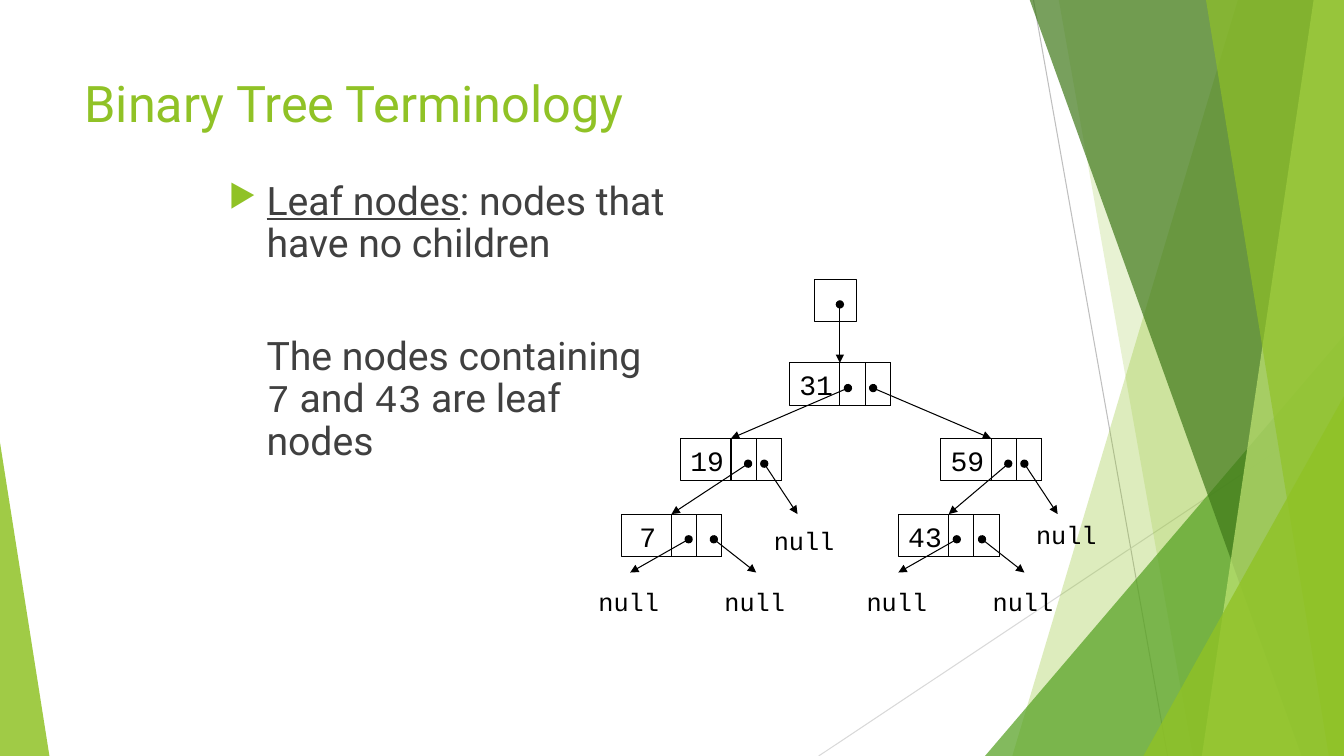
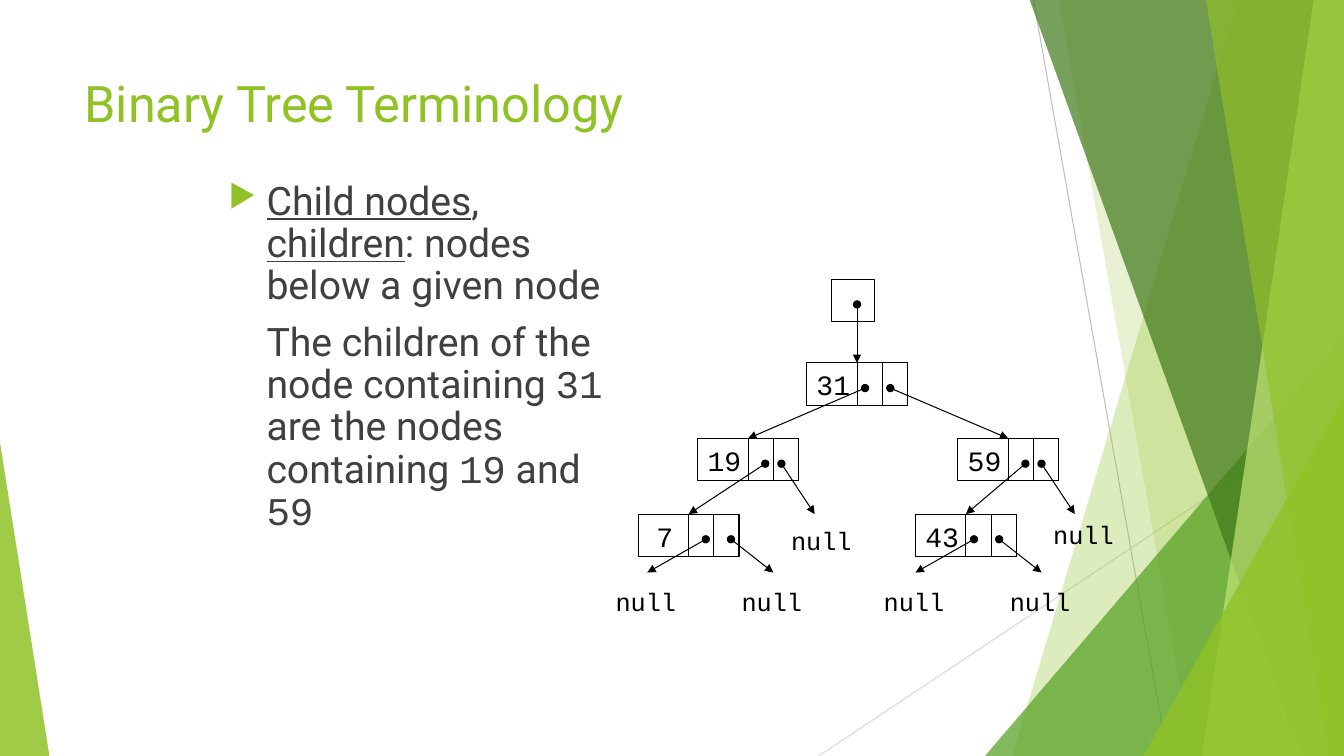
from lxml import etree
from pptx import Presentation
from pptx.dml.color import RGBColor
from pptx.enum import shapes, text
from pptx.oxml import ns
from pptx.util import Inches, Pt

WIDTH, HEIGHT = 13.33, 7.5
COLORS = {
    "lime": "90C226", "green": "54A021", "forest": "3F7819", "pale": "C0E474",
    "ink": "404040", "black": "000000", "gray": "BFBFBF", "mist": "D9D9D9",
}
SANS, MONO = "Roboto", "Courier New"
FORMATS = {
    "title": {"size": Pt(36), "name": SANS, "color": "lime"},
    "body": {"size": Pt(28), "name": SANS, "color": "ink"},
    "number": {"size": Pt(20), "name": MONO, "color": "black"},
    "null": {"size": Pt(18), "name": MONO, "color": "black"},
}
CODE, TERM = {"name": MONO}, {"underline": True}
HANGING = Pt(27)

# Tree nodes: left and top in the tree, then both pointers.
# A pointer is: dot x, then a child value or the (x, y) of its null label;
# a null pointer also has the (dx, dy) of its arrow.
CELL, FIELD, DOT = 0.42, 0.25, 0.25
LEFT_DROP, RIGHT_DROP, SHORT_DROP = (-0.58, 0.33), (0.42, 0.33), (0.33, 0.5)
NODES = {
    "31": (2, 0.83, (0.58, "19"), (0.83, "59")),
    "19": (0.92, 1.58, (0.67, "7"), (0.83, (0.82, 0.81), SHORT_DROP)),
    "59": (3.5, 1.58, (0.67, "43"), (0.83, (0.84, 0.75), SHORT_DROP)),
    "7": (0.33, 2.33, (0.67, (-0.33, 0.67), LEFT_DROP),
          (0.92, (0.92, 0.67), RIGHT_DROP)),
    "43": (3.08, 2.33, (0.58, (-0.42, 0.67), LEFT_DROP),
           (0.83, (0.83, 0.67), RIGHT_DROP)),
}


def rgb(color):
    return RGBColor.from_string(COLORS[color])


def add_xml(parent, tag, **attributes):
    return etree.SubElement(parent, ns.qn(tag), attributes)


def write(paragraph, words, style):
    run = paragraph.add_run()
    run.text = words
    values = dict(style)
    run.font.color.rgb = rgb(values.pop("color"))
    for key, value in values.items():
        setattr(run.font, key, value)


def text_frame(slide, left, top, width, height, wrap=True):
    frame = slide.shapes.add_textbox(*map(Inches, (left, top, width, height))).text_frame
    frame.word_wrap = wrap
    frame.vertical_anchor = text.MSO_ANCHOR.TOP
    return frame


def label(slide, left, top, width, height, words, style):
    frame = text_frame(slide, left, top, width, height, wrap=False)
    frame.margin_left = frame.margin_right = 0
    paragraph = frame.paragraphs[0]
    paragraph.alignment = text.PP_ALIGN.CENTER
    write(paragraph, words, FORMATS[style])


def line(slide, start, end, color, arrow=False):
    connector = slide.shapes.add_connector(
        shapes.MSO_CONNECTOR.STRAIGHT, *map(Inches, (*start, *end)))
    connector.line.color.rgb = rgb(color)
    connector.line.width = Pt(0.75)
    properties = connector._element.spPr
    add_xml(properties, "a:effectLst")
    if arrow:
        stroke = properties.find(ns.qn("a:ln"))
        add_xml(stroke, "a:headEnd", type="oval")
        add_xml(stroke, "a:tailEnd", type="triangle")


def tint(shape, color, opacity):
    shape.shadow.inherit = False
    shape.fill.solid()
    shape.fill.fore_color.rgb = rgb(color)
    shape.line.fill.background()
    tone = shape._element.spPr.find(ns.qn("a:solidFill"))[0]
    add_xml(tone, "a:alpha", val=str(opacity * 1000))


def band(slide, top_x, bottom_x, color, opacity):
    """Full-height band from a slanted edge to the right side."""
    outline = slide.shapes.build_freeform(Inches(top_x), Inches(-0.01))
    corners = [(WIDTH, -0.01), (WIDTH, HEIGHT), (bottom_x, HEIGHT)]
    outline.add_line_segments([(Inches(x), Inches(y)) for x, y in corners])
    tint(outline.convert_to_shape(), color, opacity)


def corner(slide, left, width, height, apex, color, opacity):
    """Triangle that stands on the bottom edge."""
    triangle = slide.shapes.add_shape(
        shapes.MSO_SHAPE.ISOSCELES_TRIANGLE,
        *map(Inches, (left, HEIGHT - height, width, height)))
    triangle.adjustments[0] = apex
    tint(triangle, color, opacity)


def backdrop(slide):
    line(slide, (10.25, 0), (11.58, HEIGHT), "gray")
    line(slide, (WIDTH, 4.03), (8.12, HEIGHT), "mist")
    band(slide, 12.28, 10.04, "lime", 30)
    band(slide, 10.5, 11.83, "lime", 20)
    corner(slide, 9.77, 3.56, 4.17, 1, "green", 72)
    band(slide, 10.21, 12.91, "forest", 70)
    band(slide, 13.03, 11.92, "pale", 70)
    band(slide, 11.96, 13.18, "lime", 65)
    corner(slide, 11.34, 1.99, 3.57, 1, "lime", 80)
    corner(slide, 0, 0.49, 3.11, 0, "lime", 85)


def title(slide, left, top, width, height, words):
    frame = text_frame(slide, left, top, width, height)
    write(frame.paragraphs[0], words, FORMATS["title"])


def definition(slide, left, top, width, height, term, example, gap):
    """Bulleted term, then an example set in line with its text."""
    frame = text_frame(slide, left, top, width, height)
    paragraphs = frame.paragraphs[0], frame.add_paragraph()
    for paragraph, runs, before in zip(paragraphs, (term, example), (10, gap)):
        paragraph.line_spacing = 0.9
        paragraph.space_before = Pt(before)
        paragraph._p.get_or_add_pPr().set("marL", str(HANGING))
        for words, style in runs:
            write(paragraph, words, FORMATS["body"] | style)
    # Bullet
    properties = paragraphs[0]._p.pPr
    properties.set("indent", str(-HANGING))
    add_xml(add_xml(properties, "a:buClr"), "a:srgbClr", val=COLORS["lime"])
    add_xml(properties, "a:buSzPct", val="80000")
    add_xml(properties, "a:buFont", typeface="OpenSymbol")
    add_xml(properties, "a:buChar", char="▶")


def cell(slide, left, top, width):
    box = slide.shapes.add_shape(
        shapes.MSO_SHAPE.RECTANGLE, *map(Inches, (left, top, width, CELL)))
    box.shadow.inherit = False
    box.fill.background()
    box.line.color.rgb = rgb("black")
    box.line.width = Pt(0.75)


def tree(slide, left, top):
    # Root pointer
    cell(slide, left + 2.25, top, CELL)
    line(slide, (left + 2.5, top + DOT), (left + 2.5, top + 0.83), "black", arrow=True)

    for value, (node_x, node_y, *pointers) in NODES.items():
        x, y = left + node_x, top + node_y
        # Value and two pointer fields
        for offset, width in ((0, 4 * FIELD), (2 * FIELD, FIELD), (3 * FIELD, FIELD)):
            cell(slide, x + offset, y, width)
        label(slide, x, y, 0.53, 0.43, value, "number")
        # Arrows to children or null
        for dot_x, target, *drop in pointers:
            start = x + dot_x, y + DOT
            if drop:
                end = start[0] + drop[0][0], start[1] + drop[0][1]
                label(slide, x + target[0], y + target[1], 0.81, 0.4, "null", "null")
            else:
                child_x, child_y = NODES[target][:2]
                end = left + child_x + 2 * FIELD, top + child_y
            line(slide, start, end, "black", arrow=True)


def terminology_slide(deck, term, example, gap, text_width, tree_left):
    slide = deck.slides.add_slide(deck.slide_layouts[6])
    backdrop(slide)
    title(slide, 0.74, 0.67, 9.4, 1.44, "Binary Tree Terminology")
    definition(slide, 2.17, 1.75, text_width, 4.5, term, example, gap)
    tree(slide, tree_left, 2.77)


deck = Presentation()
deck.slide_width, deck.slide_height = Inches(WIDTH), Inches(HEIGHT)

# Leaf nodes
terminology_slide(
    deck,
    [("Leaf nodes", TERM), (": nodes that have no children", {})],
    [("The nodes containing ", {}), ("7", CODE), (" and ", {}), ("43", CODE),
     (" are leaf nodes", {})],
    gap=50.4, text_width=4.54, tree_left=5.83)

# Child nodes
terminology_slide(
    deck,
    [("Child nodes", TERM), (", ", {}), ("children", TERM),
     (": nodes below a given node", {})],
    [("The children of the node containing ", {}), ("31", CODE),
     (" are the nodes containing ", {}), ("19", CODE), (" and ", {}), ("59", CODE)],
    gap=10, text_width=4.17, tree_left=6)

deck.save("out.pptx")
